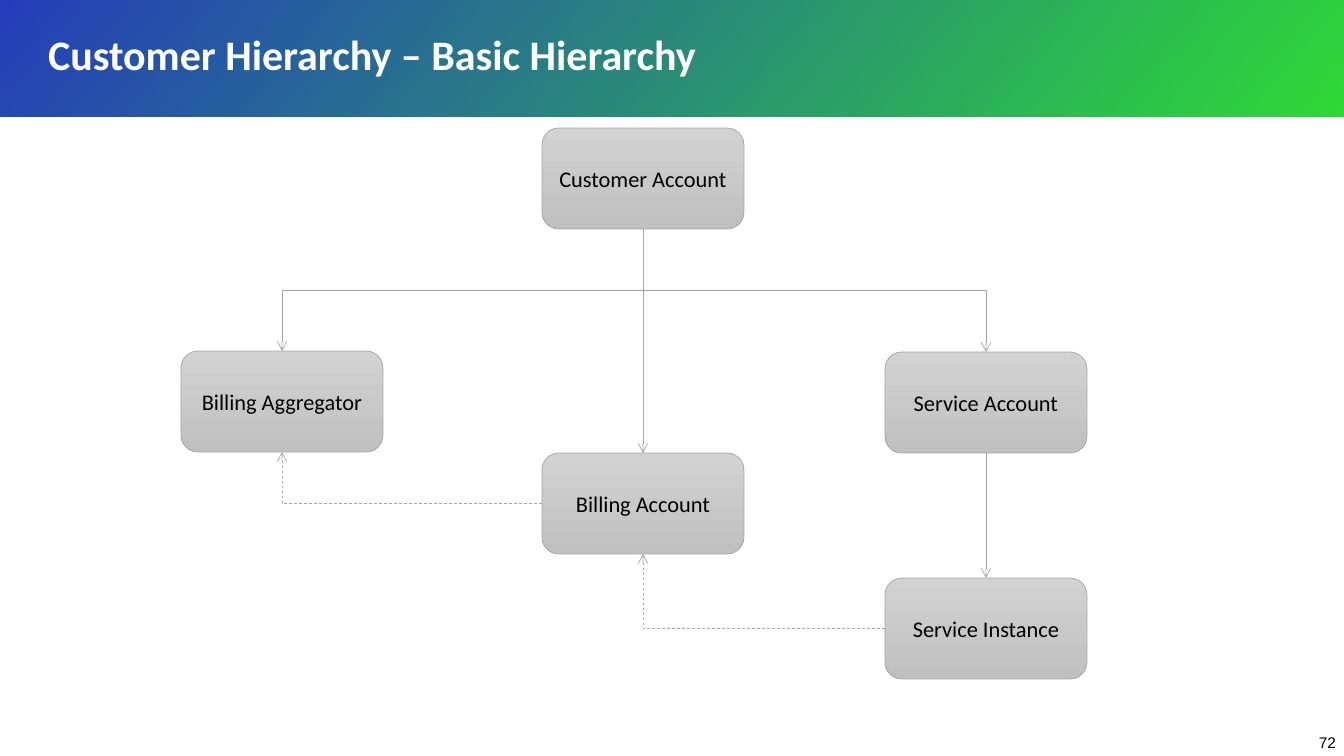
"""Build the basic customer hierarchy slide."""
from lxml import etree
from pptx import Presentation
from pptx import util as u
from pptx.dml.color import RGBColor
from pptx.enum import dml, shapes, text
from pptx.oxml.ns import qn

PX = 9144000 / 1008
WHITE = RGBColor(0xFF, 0xFF, 0xFF)
BLACK = RGBColor(0x00, 0x00, 0x00)
GREY = RGBColor(0xA5, 0xA5, 0xA5)
BOX_TOP = RGBColor(0xD2, 0xD2, 0xD2)
BOX_BOTTOM = RGBColor(0xC0, 0xC0, 0xC0)
BLUE = RGBColor(0x0D, 0x29, 0xB3)
GREEN = RGBColor(0x18, 0xD5, 0x21)


def px(*lengths):
    return [u.Emu(round(n * PX)) for n in lengths]


def write(sp, words, size, color=BLACK, font="Calibri", bold=False,
          align=text.PP_ALIGN.LEFT, anchor=text.MSO_ANCHOR.MIDDLE, spacing=1.0):
    tf = sp.text_frame
    tf.word_wrap = True
    tf.auto_size = text.MSO_AUTO_SIZE.NONE
    tf.vertical_anchor = anchor
    p = tf.paragraphs[0]
    p.alignment = align
    p.line_spacing = spacing
    r = p.add_run()
    r.text = words
    r.font.size = u.Pt(size)
    r.font.name = font
    r.font.bold = bold
    r.font.color.rgb = color


prs = Presentation()
prs.slide_width, prs.slide_height = px(1344, 756)
s = prs.slides.add_slide(prs.slide_layouts[5])
title = s.shapes.title

banner = s.shapes.add_shape(shapes.MSO_SHAPE.RECTANGLE, *px(0, 0, 1344, 117))
banner.shadow.inherit = False
banner.line.fill.background()
banner.fill.gradient()
banner.fill.gradient_angle = 320
for stop, color in zip(banner.fill.gradient_stops, (BLUE, GREEN)):
    stop.color.rgb = color
for clr in banner._element.spPr.iter(qn("a:srgbClr")):
    etree.SubElement(clr, qn("a:alpha")).set("val", "89000")
title._element.addprevious(banner._element)

title.left, title.top, title.width, title.height = px(38, 14, 1027, 86)
write(title, "Customer Hierarchy – Basic Hierarchy", 30, color=WHITE, bold=True, spacing=0.9)

number = s.shapes.add_textbox(*px(1309, 728, 48, 40))
write(number, "72", 11, font="Arial", anchor=text.MSO_ANCHOR.TOP)

boxes = {}
for name, left, top in [
    ("Customer Account", 542, 128),
    ("Billing Account", 542, 453),
    ("Service Account", 885, 352),
    ("Service Instance", 885, 578),
    ("Billing Aggregator", 181, 351),
]:
    sp = s.shapes.add_shape(shapes.MSO_SHAPE.ROUNDED_RECTANGLE, *px(left, top, 202, 101))
    sp.shadow.inherit = False
    sp.fill.gradient()
    sp.fill.gradient_angle = 270
    for stop, color in zip(sp.fill.gradient_stops, (BOX_TOP, BOX_BOTTOM)):
        stop.color.rgb = color
    sp.line.color.rgb = GREY
    sp.line.width = u.Pt(0.5)
    write(sp, name, 16, align=text.PP_ALIGN.CENTER)
    boxes[name] = sp

TOP, LEFT, BOTTOM = 0, 1, 2
for source, target, dashed in [
    ("Billing Account", "Billing Aggregator", True),
    ("Customer Account", "Service Account", False),
    ("Service Account", "Service Instance", False),
    ("Service Instance", "Billing Account", True),
    ("Customer Account", "Billing Aggregator", False),
    ("Customer Account", "Billing Account", False),
]:
    start, end = boxes[source], boxes[target]
    straight = start.left == end.left
    kind = shapes.MSO_CONNECTOR.STRAIGHT if straight else shapes.MSO_CONNECTOR.ELBOW
    c = s.shapes.add_connector(kind, 0, 0, 0, 0)
    c.begin_connect(start, LEFT if dashed else BOTTOM)
    c.end_connect(end, BOTTOM if dashed else TOP)
    spPr = c._element.spPr
    if not straight:
        dx, dy = c.end_x - c.begin_x, c.end_y - c.begin_y
        mid_x, mid_y = c.begin_x + dx // 2, c.begin_y + dy // 2
        width, height = (abs(dx), abs(dy)) if dashed else (abs(dy), abs(dx))
        c.left, c.top = mid_x - width // 2, mid_y - height // 2
        c.width, c.height = width, height
        rotation = 180 if dashed else 270 if dx > 0 else 90
        xfrm = spPr.find(qn("a:xfrm"))
        xfrm.set("rot", str(rotation * 60000))
        xfrm.set("flipH", "1" if rotation == 270 else "0")
        xfrm.set("flipV", "0")
        if dashed:
            spPr.find(qn("a:prstGeom")).set("prst", "bentConnector2")
    c.line.color.rgb = GREY
    c.line.width = u.Pt(0.5)
    if dashed:
        c.line.dash_style = dml.MSO_LINE.DASH
    etree.SubElement(spPr.find(qn("a:ln")), qn("a:tailEnd")).set("type", "arrow")
    etree.SubElement(spPr, qn("a:effectLst"))

prs.save("out.pptx")
